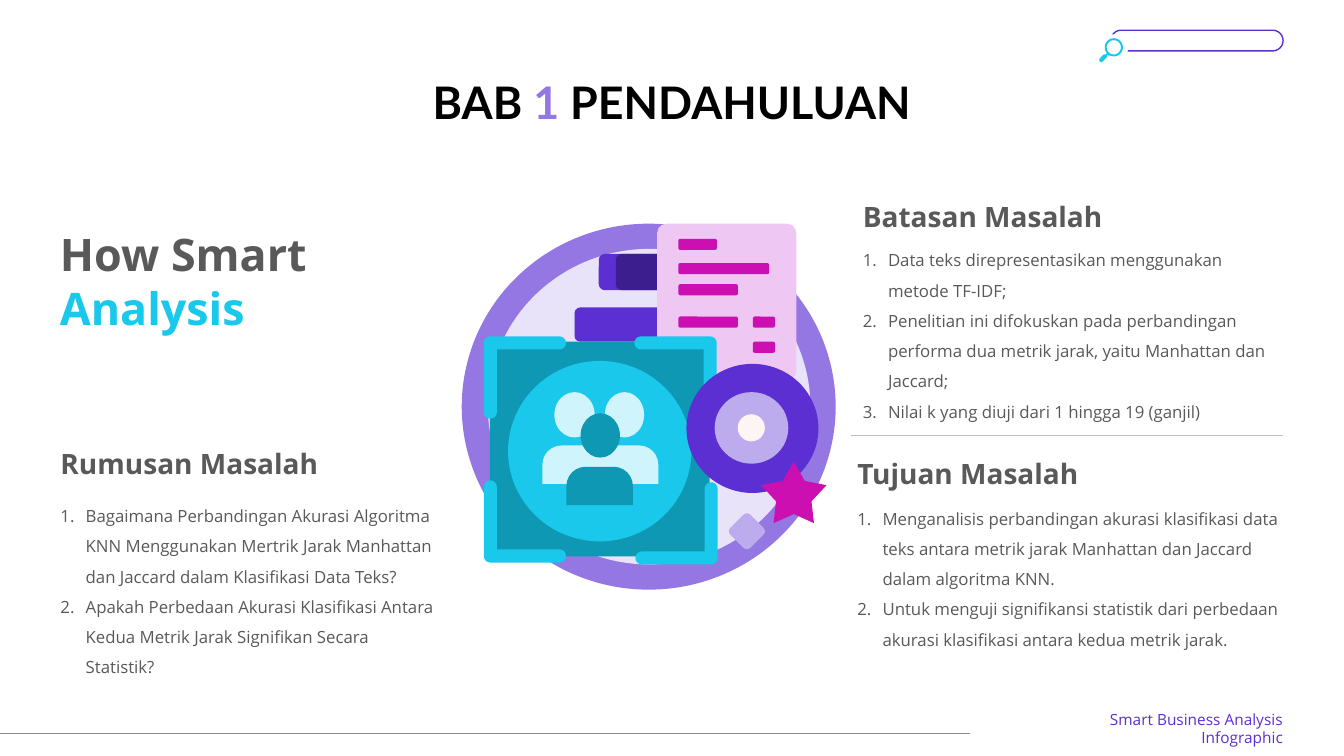
from math import cos, radians, sin

from lxml import etree
from pptx import Presentation
from pptx.dml.color import RGBColor
from pptx.enum.shapes import MSO_CONNECTOR, MSO_SHAPE
from pptx.enum.text import MSO_ANCHOR, MSO_AUTO_SIZE, PP_ALIGN
from pptx.oxml.ns import qn
from pptx.util import Pt

OVAL, RECT, ROUNDED = MSO_SHAPE.OVAL, MSO_SHAPE.RECTANGLE, MSO_SHAPE.ROUNDED_RECTANGLE
SHOULDERS, STAR = MSO_SHAPE.ROUND_2_SAME_RECTANGLE, MSO_SHAPE.STAR_5_POINT
STRAIGHT = MSO_CONNECTOR.STRAIGHT
TOP, MIDDLE = MSO_ANCHOR.TOP, MSO_ANCHOR.MIDDLE
LEFT, CENTER, RIGHT = PP_ALIGN.LEFT, PP_ALIGN.CENTER, PP_ALIGN.RIGHT
NO_AUTOFIT = MSO_AUTO_SIZE.NONE

BLACK = RGBColor(0x00, 0x00, 0x00)
WHITE = RGBColor(0xFF, 0xFF, 0xFF)
TEXT_GREY = RGBColor(0x59, 0x59, 0x59)
LINE_GREY = RGBColor(0xBF, 0xBF, 0xBF)
FOOTER_GREY = RGBColor(0x8C, 0x8C, 0x8C)
CYAN = RGBColor(0x19, 0xC8, 0xEB)
TEAL = RGBColor(0x0F, 0x98, 0xB3)
PALE_CYAN = RGBColor(0xD0, 0xF4, 0xFB)
VIOLET = RGBColor(0x5C, 0x2F, 0xD2)
DARK_VIOLET = RGBColor(0x3C, 0x1E, 0x8E)
LAVENDER = RGBColor(0x94, 0x77, 0xE2)
LIGHT_LAVENDER = RGBColor(0xBD, 0xAC, 0xED)
PALE_LAVENDER = RGBColor(0xE9, 0xE3, 0xF9)
PINK = RGBColor(0xEF, 0xC7, 0xF3)
MAGENTA = RGBColor(0xCB, 0x0F, 0xB0)
CREAM = RGBColor(0xFD, 0xF4, 0xF4)


def arc(x, y, radius, start, end, step=15):
    """Points on a circle from start to end degrees, clockwise on the slide."""
    return [(x + radius * cos(radians(a)), y + radius * sin(radians(a)))
            for a in range(start, end + 1, step)]


class InfographicSlide:
    """Holds the style and the slide that is being filled."""

    font = "Open Sans"
    heading_size, list_size = 20, 12

    def __init__(self, slide):
        self.slide = slide
        self.shapes = slide.shapes

    def set_wording(self, holder, box, parts, size, bold=False, align=LEFT,
                    font=None, anchor=TOP, spacing=1.0):
        """Place a text holder and fill it with (wording, colour) runs."""
        holder.left, holder.top, holder.width, holder.height = map(Pt, box)
        frame = holder.text_frame
        frame.word_wrap, frame.auto_size = True, NO_AUTOFIT
        frame.vertical_anchor = anchor
        frame.margin_left = frame.margin_right = 0
        frame.margin_top = frame.margin_bottom = 0
        paragraph = frame.paragraphs[0]
        paragraph.alignment, paragraph.line_spacing = align, spacing
        paragraph.space_before = Pt(0)
        for wording, color in parts:
            run = paragraph.add_run()
            run.text = wording
            self.style(run, size, color, bold, font)

    def style(self, run, size, color, bold=False, font=None):
        run.font.name, run.font.size = font or self.font, Pt(size)
        run.font.bold, run.font.color.rgb = bold, color

    def textbox(self, box, *args, **kwargs):
        self.set_wording(self.shapes.add_textbox(0, 0, 0, 0), box, *args, **kwargs)

    def numbered_list(self, holder, box, items):
        self.set_wording(holder, box, [], self.list_size)
        frame = holder.text_frame
        frame.margin_top = frame.margin_bottom = Pt(3.6)
        frame.text = "\n".join(items)
        for paragraph in frame.paragraphs:
            paragraph.alignment, paragraph.line_spacing = LEFT, 1.5
            paragraph.space_before = Pt(0)
            self.style(paragraph.runs[0], self.list_size, TEXT_GREY)
            properties = paragraph._p.get_or_add_pPr()
            properties.set("marL", str(Pt(18)))
            properties.set("indent", str(Pt(-18)))
            color = etree.SubElement(properties, qn("a:buClr"))
            etree.SubElement(color, qn("a:srgbClr"), val=str(TEXT_GREY))
            etree.SubElement(properties, qn("a:buFont"), typeface="+mj-lt")
            etree.SubElement(properties, qn("a:buAutoNum"), type="arabicPeriod")

    def section(self, heading, heading_box, holder, list_box, items):
        self.textbox(heading_box, [(heading, TEXT_GREY)], self.heading_size, bold=True)
        self.numbered_list(holder, list_box, items)

    def paint(self, shape, fill, outline=None):
        shape.shadow.inherit = False
        if fill is None:
            shape.fill.background()
        else:
            shape.fill.solid()
            shape.fill.fore_color.rgb = fill
        if outline is None:
            shape.line.fill.background()
        else:
            shape.line.color.rgb, shape.line.width = outline, Pt(1)

    def shape(self, kind, box, fill, adjust=None, outline=None, rotation=0):
        shape = self.shapes.add_shape(kind, *map(Pt, box))
        if adjust is not None:
            shape.adjustments[0] = adjust
        shape.rotation = rotation
        self.paint(shape, fill, outline)

    def outline(self, contours, fill):
        """Draw closed contours as one freeform."""
        contours = [[(Pt(x), Pt(y)) for x, y in contour] for contour in contours]
        builder = self.shapes.build_freeform(*contours[0][0], scale=1.0)
        builder.add_line_segments(contours[0][1:], close=True)
        for contour in contours[1:]:
            builder.move_to(*contour[0])
            builder.add_line_segments(contour[1:], close=True)
        self.paint(builder.convert_to_shape(), fill)

    def bracket(self, x, y, across, down, arm=58.7, r=4.65):
        """Rounded corner bracket; across and down (1 or -1) point its arms."""
        corner = (arc(r, r, r, 180, 270) + arc(arm - r, r, r, 270, 450)
                  + [(2 * r, 2 * r)] + arc(r, arm - r, r, 0, 180))
        self.outline([[(x + across * u, y + down * v) for u, v in corner]], CYAN)

    def rule(self, x1, x2, y, color):
        line = self.shapes.add_connector(STRAIGHT, Pt(x1), Pt(y), Pt(x2), Pt(y))
        line.line.color.rgb, line.line.width = color, Pt(0.75)
        etree.SubElement(line._element.spPr, qn("a:effectLst"))


def draw_illustration(page):
    page.shape(OVAL, (329.8, 159.8, 267.1, 261.4), LAVENDER)
    page.shape(OVAL, (348.5, 177.8, 230.4, 225.4), PALE_LAVENDER)
    page.shape(ROUNDED, (427.7, 181.4, 51.8, 25.9), VIOLET, 0.167)
    page.shape(ROUNDED, (410.4, 219.6, 69.1, 24.5), VIOLET, 0.167)
    page.shape(ROUNDED, (523.4, 369.4, 20.2, 20.2), LIGHT_LAVENDER, 0.167, rotation=45)
    page.shape(ROUNDED, (439.9, 181.4, 39.6, 25.9), DARK_VIOLET, 0.167)
    page.shape(ROUNDED, (469.4, 159.8, 99.4, 111.6), PINK, 0.066)
    for x, y, width in ((484.6, 170.6, 27.4), (484.6, 187.9, 64.8), (484.6, 203, 42.5),
                        (484.6, 226.1, 42.5), (537.8, 226.1, 15.8), (537.8, 244.1, 15.8)):
        page.shape(ROUNDED, (x, y, width, 7.9), MAGENTA, 0.167)

    page.shape(RECT, (349.9, 244.1, 157, 153.4), TEAL)
    page.shape(OVAL, (362.9, 257.8, 131, 128.9), CYAN)
    page.shape(SHOULDERS, (387.4, 318.2, 82.8, 27.4), PALE_CYAN, 0.5)
    page.shape(SHOULDERS, (404.6, 333.4, 47.5, 27.4), TEAL, 0.5)
    page.shape(OVAL, (432, 280.1, 28.1, 32.4), PALE_CYAN)
    page.shape(OVAL, (396, 280.1, 28.8, 32.4), PALE_CYAN)
    page.shape(OVAL, (414.7, 295.2, 28.1, 31.7), TEAL)
    for x, y, across, down in ((345.6, 240.3, 1, 1), (345.6, 401.8, 1, -1),
                               (511.9, 240.3, -1, 1), (512.6, 403.2, -1, -1)):
        page.bracket(x, y, across, down)

    page.shape(OVAL, (490.3, 259.9, 94.3, 92.2), VIOLET)
    page.shape(OVAL, (510.5, 280.1, 52.6, 51.1), LIGHT_LAVENDER)
    page.shape(OVAL, (527, 295.9, 19.4, 19.4), CREAM)
    page.shape(STAR, (543.6, 329.8, 46.8, 43.9), MAGENTA, 0.27)


def draw_search_bar(page):
    page.shape(ROUNDED, (793.4, 21.6, 123.1, 14.8), None, 0.5, outline=VIOLET)
    page.shape(OVAL, (782.6, 24.5, 23, 23), WHITE)
    lens_x, lens_y = 795.6, 33.8
    handle = [(790.6, 39.6), (790.6, 41), (787.7, 43.9), (786.6, 44.5),
              (785.5, 43.9), (785.2, 42.8), (785.5, 41.8), (788.4, 38.9), (789.8, 38.9)]
    rim = arc(lens_x, lens_y, 6.5, 139, 486, 12)
    hole = arc(lens_x, lens_y, 5.1, 0, 360)[::-1]
    page.outline([rim + handle, hole], CYAN)


def main():
    deck = Presentation()
    deck.slide_width, deck.slide_height = Pt(960), Pt(540)
    slide = deck.slides.add_slide(deck.slide_layouts.get_by_name("Comparison"))
    page = InfographicSlide(slide)
    title, headline, limits, goals, questions = (
        slide.placeholders[i] for i in (0, 1, 2, 4, 3))

    page.set_wording(title, (43.2, 57.6, 873.4, 58.3),
                     [("BAB ", BLACK), ("1 ", LAVENDER), ("PENDAHULUAN", BLACK)],
                     32, bold=True, align=CENTER, font="Lato", spacing=0.9)
    page.set_wording(headline, (42.8, 162, 244.1, 77.8),
                     [("How Smart ", TEXT_GREY), ("Analysis", CYAN)], 32, bold=True)
    page.section("Batasan Masalah", (616.3, 142.6, 300.2, 24.5),
                 limits, (616.3, 167.8, 300.2, 157.7), [
        "Data teks direpresentasikan menggunakan metode TF-IDF;",
        "Penelitian ini difokuskan pada perbandingan performa dua metrik jarak, "
        "yaitu Manhattan dan Jaccard;",
        "Nilai k yang diuji dari 1 hingga 19 (ganjil)"])
    page.section("Tujuan Masalah", (612.4, 326.2, 304.6, 24.5),
                 goals, (612.4, 352.4, 304.6, 116.6), [
        "Menganalisis perbandingan akurasi klasifikasi data teks antara metrik "
        "jarak Manhattan dan Jaccard dalam algoritma KNN.",
        "Untuk menguji signifikansi statistik dari perbedaan akurasi klasifikasi "
        "antara kedua metrik jarak."])
    page.section("Rumusan Masalah", (43.2, 319, 267.8, 24.5),
                 questions, (43.2, 350.6, 267.8, 136.1), [
        "Bagaimana Perbandingan Akurasi Algoritma KNN Menggunakan Mertrik Jarak "
        "Manhattan dan Jaccard dalam Klasifikasi Data Teks?",
        "Apakah Perbedaan Akurasi Klasifikasi Antara Kedua Metrik Jarak "
        "Signifikan Secara Statistik?"])
    page.rule(607.7, 916.6, 311.2, LINE_GREY)

    draw_illustration(page)
    draw_search_bar(page)
    page.textbox((732.2, 513.4, 184.3, 13.7),
                 [("Smart Business Analysis Infographic", VIOLET)],
                 11, align=RIGHT, anchor=MIDDLE)
    page.rule(0, 692.6, 523.6, FOOTER_GREY)
    deck.save("out.pptx")


if __name__ == "__main__":
    main()
